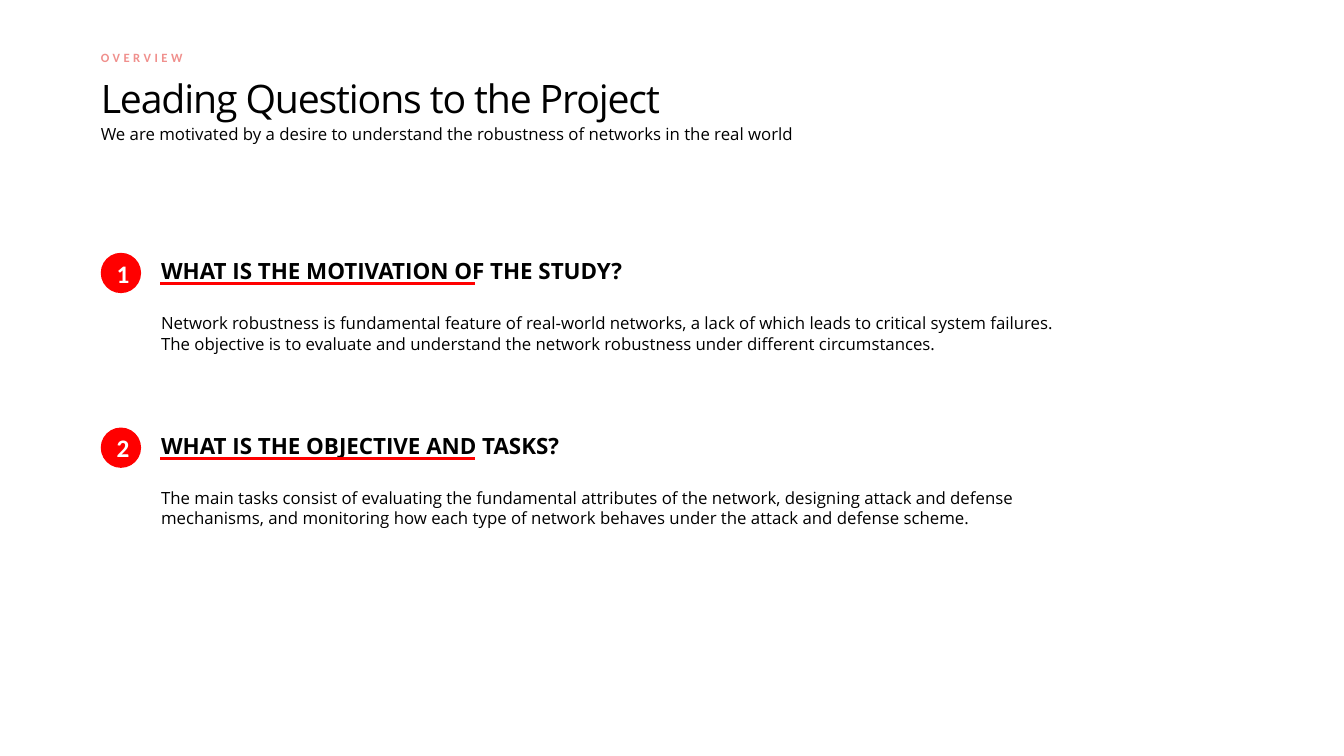
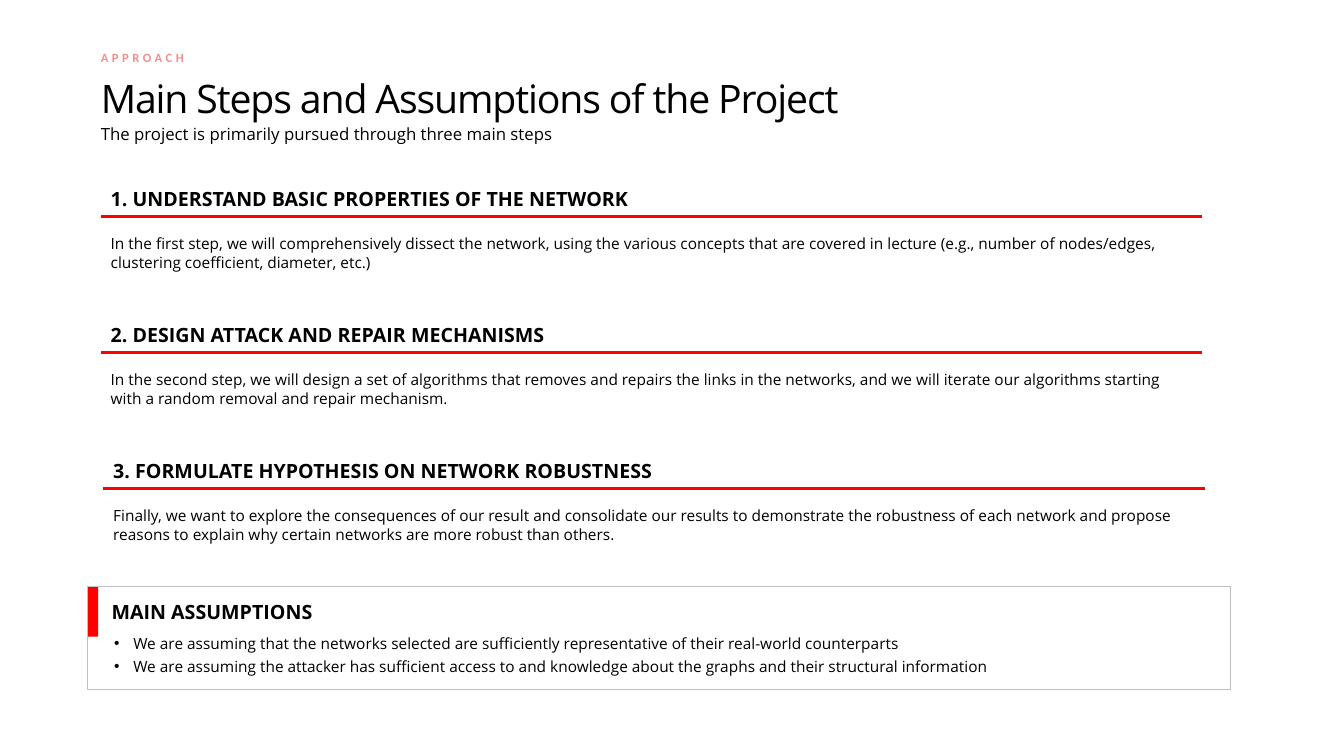
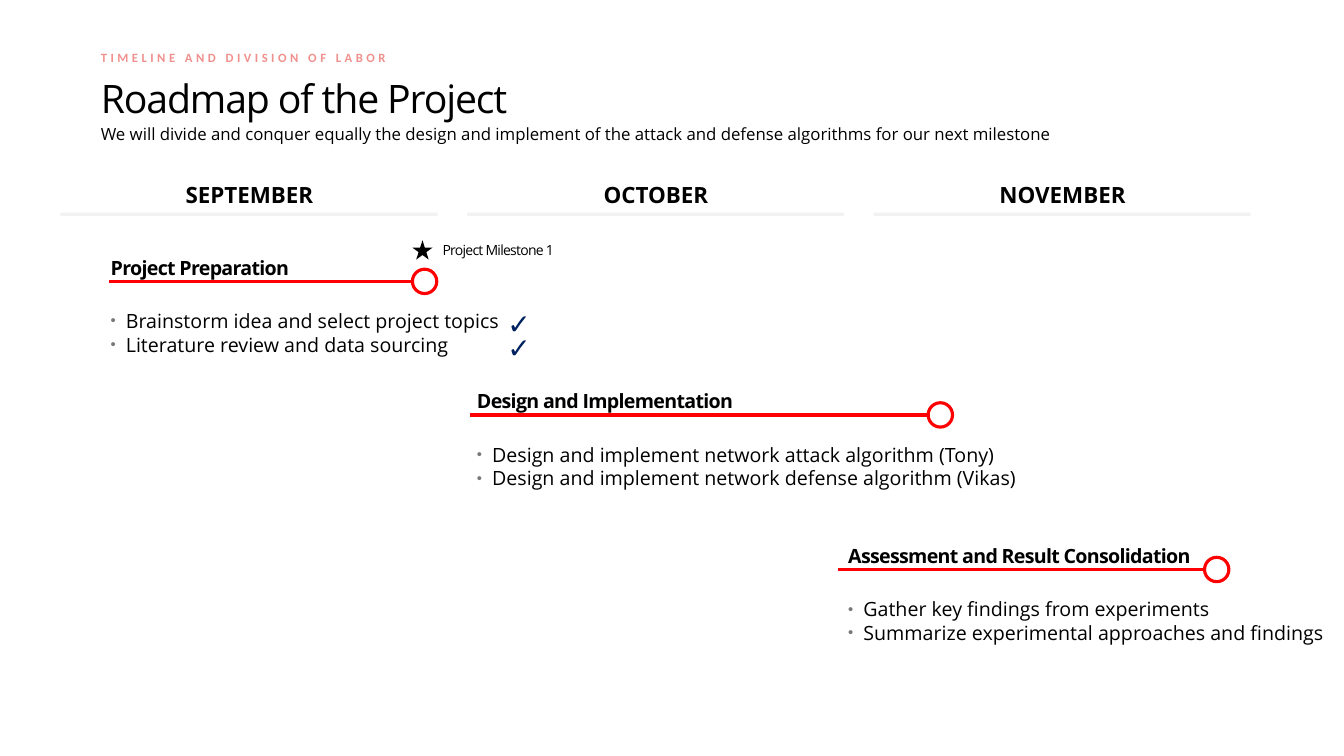
import dataclasses

import lxml.etree
import pptx
import pptx.dml.color
import pptx.enum.shapes
import pptx.enum.text
import pptx.oxml.ns
import pptx.util

SHAPE = pptx.enum.shapes.MSO_SHAPE
ALIGN = pptx.enum.text.PP_ALIGN
ANCHOR = pptx.enum.text.MSO_ANCHOR


@dataclasses.dataclass(frozen=True)
class Style:
    """Type style of a paragraph: font, size, colour, tracking and spacing."""

    size: float
    font: str = "Open Sans"
    color: str = "000000"
    bold: bool = False
    tracking: float = 0
    line: float = 1
    before: float = 0
    after: float = 0
    align: ALIGN = ALIGN.LEFT


@dataclasses.dataclass(frozen=True)
class Bullet:
    """Bullet indent in inches, with an optional colour and size in percent."""

    indent: float
    color: str = ""
    percent: int = 100


class Theme:
    """Colours, type styles and line weights of the deck."""

    accent, pale, border, ink = "FF0000", "F2F2F2", "BFBFBF", "000000"
    rule, hairline = 2.25, 0.25
    title = Style(28, tracking=-0.8, line=0.9)
    subtitle = Style(12, line=0.9, before=10)
    tag = Style(9, "Calibri", "F0908D", True, 2.5, 0.9, 10)
    badge = Style(18, "Calibri", "FFFFFF", True, align=ALIGN.CENTER)
    question = Style(16, bold=True)
    answer = Style(12)
    step = Style(14, bold=True, after=3)
    detail = Style(11, after=3)
    month = Style(16, bold=True, line=0.85, align=ALIGN.CENTER)
    phase = Style(14, bold=True, tracking=-0.5, line=1.3)
    task = Style(14)
    milestone = Style(10, tracking=-0.5, line=1.3)
    check = Style(20, "Calibri", "002060", True)
    detail_bullet = Bullet(0.19)
    task_bullet = Bullet(0.15, "787878", 75)


class Builder:
    """Draws on the current slide, on a grid of 160 columns by 90 rows."""

    columns, rows = 160, 90
    flush = (0, 0, 0, 0)
    roomy = (0.1, 0.1, 0.1, 0.1)
    normal = (0.1, 0.05, 0.1, 0.05)

    def __init__(self):
        """Start a widescreen deck."""
        self.deck = pptx.Presentation()
        self.deck.slide_width = pptx.util.Inches(13.33)
        self.deck.slide_height = pptx.util.Inches(7.5)
        self.page = None

    def grid(self, *lengths):
        """Turn alternating columns and rows into slide lengths."""
        units = (self.deck.slide_width / self.columns, self.deck.slide_height / self.rows)
        return [round(length * units[index % 2]) for index, length in enumerate(lengths)]

    def color(self, code):
        """Return a colour object for a hex code."""
        return pptx.dml.color.RGBColor.from_string(code)

    def add_bullet(self, para, bullet):
        """Give a paragraph a hanging bullet."""
        props = para._p.get_or_add_pPr()
        indent = pptx.util.Inches(bullet.indent)
        props.set("marL", str(indent))
        props.set("indent", str(-indent))
        qn = pptx.oxml.ns.qn
        if bullet.color:
            holder = lxml.etree.SubElement(props, qn("a:buClr"))
            lxml.etree.SubElement(holder, qn("a:srgbClr"), val=bullet.color)
        lxml.etree.SubElement(props, qn("a:buSzPct"), val=str(bullet.percent * 1000))
        lxml.etree.SubElement(props, qn("a:buFont"), typeface="Arial")
        lxml.etree.SubElement(props, qn("a:buChar"), char="•")

    def set_text(self, box, text, style, insets=normal, anchor=ANCHOR.TOP, bullet=None, wrap=True):
        """Fill a shape with styled text, one paragraph a line."""
        frame = box.text_frame
        frame.text = text
        frame.auto_size = pptx.enum.text.MSO_AUTO_SIZE.NONE
        frame.word_wrap = wrap
        frame.vertical_anchor = anchor
        (frame.margin_left, frame.margin_top, frame.margin_right,
         frame.margin_bottom) = map(pptx.util.Inches, insets)
        for para in frame.paragraphs:
            para.alignment = style.align
            para.line_spacing = style.line
            para.space_before = pptx.util.Pt(style.before)
            para.space_after = pptx.util.Pt(style.after)
            if bullet:
                self.add_bullet(para, bullet)
            for span in para.runs:
                span.font.name = style.font
                span.font.size = pptx.util.Pt(style.size)
                span.font.bold = style.bold
                span.font.color.rgb = self.color(style.color)
                if style.tracking:
                    span._r.get_or_add_rPr().set("spc", str(round(style.tracking * 100)))

    def text(self, at, text, style, **options):
        """Add a text box."""
        self.set_text(self.page.shapes.add_textbox(*self.grid(*at)), text, style, **options)

    def shape(self, kind, at, fill=None, line=None, weight=Theme.rule):
        """Add a preset shape with an optional fill and outline."""
        shape = self.page.shapes.add_shape(kind, *self.grid(*at))
        shape.shadow.inherit = False
        if fill:
            shape.fill.solid()
            shape.fill.fore_color.rgb = self.color(fill)
        else:
            shape.fill.background()
        if line:
            shape.line.color.rgb = self.color(line)
            shape.line.width = pptx.util.Pt(weight)
        else:
            shape.line.fill.background()
        return shape

    def rule(self, left, right, row):
        """Add a horizontal accent line."""
        kind = pptx.enum.shapes.MSO_CONNECTOR.STRAIGHT
        line = self.page.shapes.add_connector(kind, *self.grid(left, row, right, row))
        line.line.color.rgb = self.color(Theme.accent)
        line.line.width = pptx.util.Pt(Theme.rule)
        lxml.etree.SubElement(line._element.spPr, pptx.oxml.ns.qn("a:effectLst"))

    def start_page(self, tag, title, subtitle):
        """Add a slide with its tag, title and subtitle."""
        self.page = self.deck.slides.add_slide(self.deck.slide_layouts[5])
        head = self.page.shapes.title
        head.left, head.top, head.width, head.height = self.grid(12, 6.7, 136, 7.8)
        self.set_text(head, title, Theme.title, (0, 0.05, 0, 0), ANCHOR.BOTTOM)
        self.text((12, 15, 136, 6.2), subtitle, Theme.subtitle, insets=self.flush)
        self.text((12, 6.1, 44, 2.6), tag, Theme.tag, insets=self.flush)

    def question(self, number, row, heading, answer):
        """Add a numbered question with its answer."""
        badge = self.shape(SHAPE.OVAL, (12, row + 0.1, 4.8, 4.8), Theme.accent)
        self.set_text(badge, str(number), Theme.badge, anchor=ANCHOR.MIDDLE)
        self.text((18, row, 105.5, 4.4), heading, Theme.question)
        self.rule(19.1, 56.5, row + 3.75)
        self.text((18, row + 6.7, 110.2, 6), answer, Theme.answer)

    def step(self, left, row, heading, detail):
        """Add a step: heading, rule at the given row, and detail."""
        self.text((left, row - 4.1, 130.8, 4.1), heading, Theme.step)
        self.rule(left, left + 131.1, row)
        self.text((left, row + 1.5, 130.8, 5.6), detail, Theme.detail)

    def month(self, left, name):
        """Add a month heading over a pale bar."""
        self.text((left + 5.8, 20.3, 33.4, 6.2), name, Theme.month,
                  insets=self.roomy, anchor=ANCHOR.MIDDLE)
        self.shape(SHAPE.RECTANGLE, (left, 25.3, 44.9, 0.4), Theme.pale)

    def phase(self, left, start, end, row, widths, heading, tasks):
        """Add a timeline phase that ends in a ring, with its tasks."""
        ring = 2.9
        self.shape(SHAPE.OVAL, (end, row - ring / 2, ring, ring), line=Theme.accent)
        self.rule(start, end, row)
        self.text((left, row - 5.2, widths[0], 6.2), heading, Theme.phase,
                  insets=self.roomy, anchor=ANCHOR.MIDDLE)
        self.text((left, row + 2.7, widths[1], 7.8), tasks, Theme.task,
                  bullet=Theme.task_bullet)


def build_questions(draw):
    """Build the overview slide."""
    draw.start_page(
        "OVERVIEW", "Leading Questions to the Project",
        "We are motivated by a desire to understand the robustness of networks in the real world")
    questions = [
        ("WHAT IS THE MOTIVATION OF THE STUDY?",
         "Network robustness is fundamental feature of real-world networks, a lack of which leads "
         "to critical system failures. The objective is to evaluate and understand the network "
         "robustness under different circumstances."),
        ("WHAT IS THE OBJECTIVE AND TASKS?",
         "The main tasks consist of evaluating the fundamental attributes of the network, "
         "designing attack and defense mechanisms, and monitoring how each type of network "
         "behaves under the attack and defense scheme."),
    ]
    for index, (heading, answer) in enumerate(questions):
        draw.question(index + 1, 30 + index * 20.8, heading, answer)


def build_steps(draw):
    """Build the approach slide."""
    draw.start_page("APPROACH", "Main Steps and Assumptions of the Project",
                    "The project is primarily pursued through three main steps")
    steps = [
        (12, "1. UNDERSTAND BASIC PROPERTIES OF THE NETWORK",
         "In the first step, we will comprehensively dissect the network, using the various "
         "concepts that are covered in lecture (e.g., number of nodes/edges, clustering "
         "coefficient, diameter, etc.)"),
        (12, "2. DESIGN ATTACK AND REPAIR MECHANISMS",
         "In the second step, we will design a set of algorithms that removes and repairs the "
         "links in the networks, and we will iterate our algorithms starting with a random "
         "removal and repair mechanism."),
        (12.3, "3. FORMULATE HYPOTHESIS ON NETWORK ROBUSTNESS",
         "Finally, we want to explore the consequences of our result and consolidate our results "
         "to demonstrate the robustness of each network and propose reasons to explain why "
         "certain networks are more robust than others."),
    ]
    for index, (left, heading, detail) in enumerate(steps):
        draw.step(left, 25.8 + index * 16.2, heading, detail)
    draw.shape(SHAPE.RECTANGLE, (10.4, 69.8, 1.3, 6), Theme.accent)
    draw.shape(SHAPE.RECTANGLE, (10.4, 69.8, 136, 12.2), line=Theme.border,
               weight=Theme.hairline)
    draw.text((12.1, 70.8, 130.8, 4.1), "MAIN ASSUMPTIONS", Theme.step)
    assumptions = [
        "We are assuming that the networks selected are sufficiently representative of their "
        "real-world counterparts",
        "We are assuming the attacker has sufficient access to and knowledge about the graphs "
        "and their structural information",
    ]
    draw.text((12.4, 74.9, 130.8, 6.1), "\n".join(assumptions), Theme.detail,
              bullet=Theme.detail_bullet)


def build_roadmap(draw):
    """Build the timeline slide."""
    draw.start_page(
        "TIMELINE AND DIVISION OF LABOR", "Roadmap of the Project",
        "We will divide and conquer equally the design and implement of the attack and defense "
        "algorithms for our next milestone")
    for index, name in enumerate(("SEPTEMBER", "OCTOBER", "NOVEMBER")):
        draw.month(7.2 + index * 48.4, name)
    draw.phase(12, 13, 49.1, 33.5, (30.7, 66), "Project Preparation",
               "Brainstorm idea and select project topics\nLiterature review and data sourcing")
    draw.phase(55.6, 56, 110.5, 49.4, (33.4, 79.1), "Design and Implementation",
               "Design and implement network attack algorithm (Tony)\n"
               "Design and implement network defense algorithm (Vikas)")
    draw.phase(99.8, 99.8, 143.4, 67.8, (43.6, 59), "Assessment and Result Consolidation",
               "Gather key findings from experiments\n"
               "Summarize experimental approaches and findings")
    for row in (36.5, 39.4):
        draw.text((60.4, row, 2.6, 4.1), "✓", Theme.check, insets=draw.flush, wrap=False)
    draw.text((51.5, 26.4, 30.7, 6.2), "Project Milestone 1", Theme.milestone,
              insets=draw.roomy, anchor=ANCHOR.MIDDLE)
    draw.shape(SHAPE.STAR_5_POINT, (49.1, 28.6, 2.4, 2.3), Theme.ink)


def main():
    """Build and save the deck."""
    draw = Builder()
    for build in (build_questions, build_steps, build_roadmap):
        build(draw)
    draw.deck.save("out.pptx")


if __name__ == "__main__":
    main()
